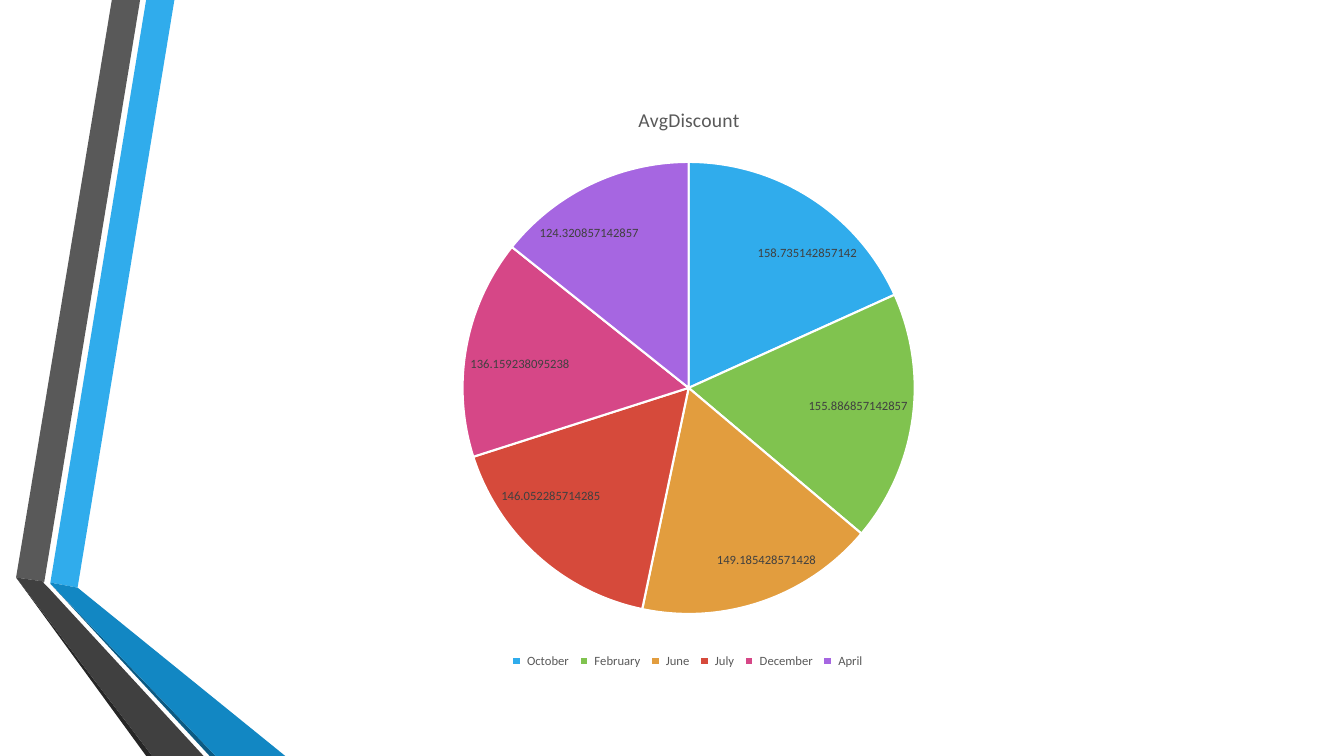
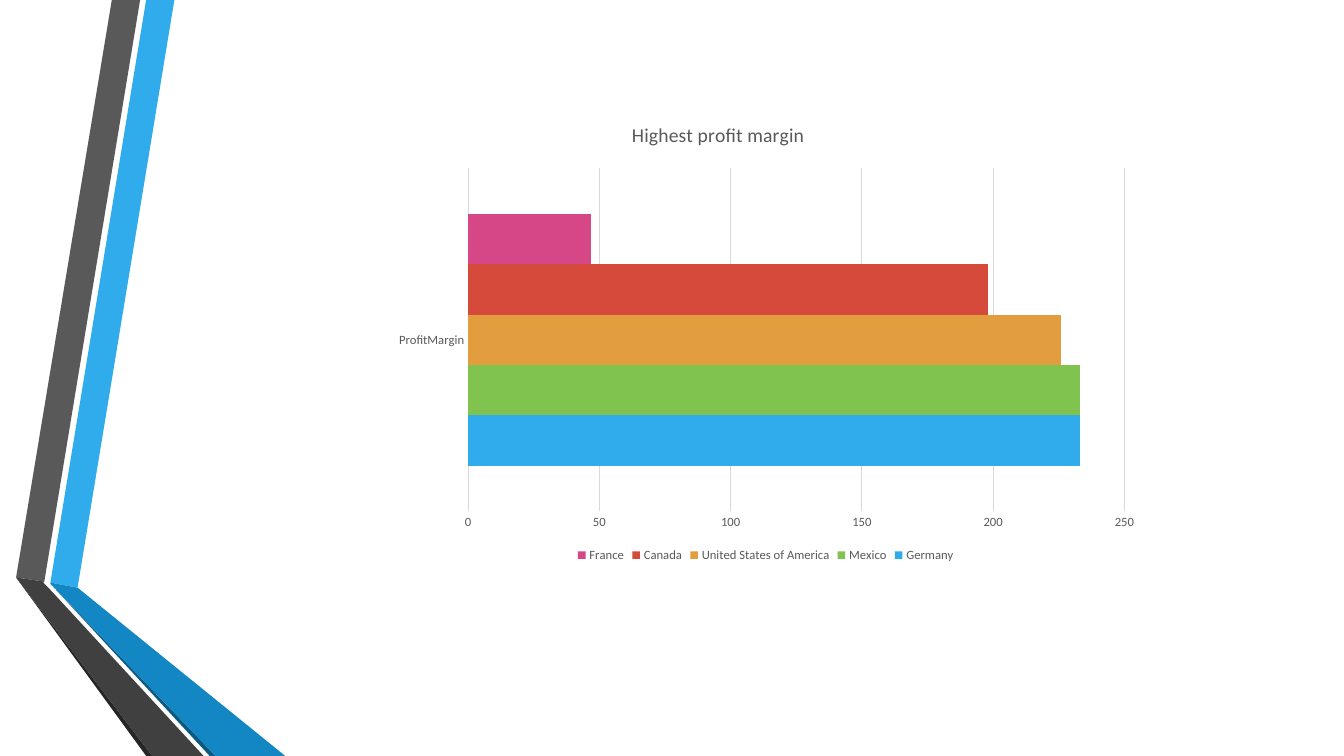
from lxml import etree
from pptx import Presentation
from pptx.chart.data import CategoryChartData
from pptx.dml.color import RGBColor
from pptx.enum.chart import XL_CHART_TYPE, XL_LABEL_POSITION, XL_LEGEND_POSITION, XL_TICK_MARK
from pptx.oxml.ns import qn
from pptx.util import Inches, Pt

PIE = XL_CHART_TYPE.PIE
BAR = XL_CHART_TYPE.BAR_CLUSTERED
BEST = XL_LABEL_POSITION.BEST_FIT
BOTTOM = XL_LEGEND_POSITION.BOTTOM
NO_TICK = XL_TICK_MARK.NONE

WIDTH, HEIGHT = Inches(13.33), Inches(7.5)
FACE = "Calibri"

WHITE = RGBColor(0xFF, 0xFF, 0xFF)
BLACK = RGBColor(0x00, 0x00, 0x00)
BLUE = RGBColor(0x30, 0xAC, 0xEC)
MID_BLUE = RGBColor(0x12, 0x87, 0xC3)
DEEP_BLUE = RGBColor(0x0C, 0x5A, 0x82)
GREEN = RGBColor(0x80, 0xC3, 0x4F)
AMBER = RGBColor(0xE2, 0x9D, 0x3E)
RED = RGBColor(0xD6, 0x4A, 0x3B)
PINK = RGBColor(0xD6, 0x47, 0x87)
PURPLE = RGBColor(0xA6, 0x66, 0xE1)
GRAY = RGBColor(0x59, 0x59, 0x59)
DARK = RGBColor(0x40, 0x40, 0x40)
COAL = RGBColor(0x26, 0x26, 0x26)
PALE = RGBColor(0xD9, 0xD9, 0xD9)
HUES = (BLUE, GREEN, AMBER, RED, PINK, PURPLE)

UNIT = Inches(0.01)
BANDS = (
    (BLUE, ((50, 578), (77, 583), (173, 0), (145, 0))),
    (GRAY, ((139, 0), (111, 0), (16, 573), (44, 577))),
    (COAL, ((16, 573), (145, 750), (151, 750))),
    (DEEP_BLUE, ((50, 579), (208, 750), (214, 750))),
    (MID_BLUE, ((50, 579), (214, 750), (283, 750), (77, 583), (50, 578))),
    (DARK, ((202, 750), (48, 583), (43, 578), (44, 577), (16, 573), (151, 750))),
)

MONTHS = {
    " October ": 158.735142857142,
    " February ": 155.886857142857,
    " June ": 149.185428571428,
    " July ": 146.052285714285,
    " December ": 136.159238095238,
    " April ": 124.320857142857,
}
LANDS = {
    "Germany": 233,
    "Mexico": 233,
    "United States of America": 226,
    "Canada": 198,
    "France": 47,
}


def paint(fill, color):
    fill.solid()
    fill.fore_color.rgb = color


def style(font, size, color):
    font.name = FACE
    font.size = Pt(size)
    font.color.rgb = color


def rule(line, color, width):
    line.color.rgb = color
    line.width = Pt(width)


def pin(node, **parts):
    box = node.find(qn("c:layout"))
    if box is None:
        box = etree.Element(qn("c:layout"))
        node.insert(len(node.findall(qn("c:tx"))), box)
    man = etree.SubElement(box, qn("c:manualLayout"))
    for key, val in parts.items():
        etree.SubElement(man, qn("c:" + key)).set("val", str(val))


def add_bands(slide):
    group = slide.shapes.add_group_shape()
    for color, points in BANDS:
        pen = group.shapes.build_freeform(*points[0], scale=UNIT)
        pen.add_line_segments(points[1:], close=True)
        band = pen.convert_to_shape()
        paint(band.fill, color)
        band.line.fill.background()
        band.shadow.inherit = False


def add_slide(deck):
    slide = deck.slides.add_slide(deck.slide_layouts[6])
    paint(slide.background.fill, WHITE)
    add_bands(slide)
    return slide


def add_chart(slide, kind, place, title, data):
    left, top, width, height = place
    frame = slide.shapes.add_chart(
        kind, int(WIDTH * left / 100), int(HEIGHT * top / 100),
        int(WIDTH * width / 100), int(HEIGHT * height / 100), data)
    chart = frame.chart
    style(chart.font, 10, BLACK)
    chart.has_title = True
    text = chart.chart_title.text_frame
    text.text = title
    font = text.paragraphs[0].runs[0].font
    style(font, 14, GRAY)
    font.bold = False
    chart.has_legend = True
    chart.legend.position = BOTTOM
    chart.legend.include_in_layout = False
    style(chart.legend.font, 9, GRAY)
    return chart


def add_pie(slide):
    data = CategoryChartData()
    data.categories = list(MONTHS)
    data.add_series("AvgDiscount", list(MONTHS.values()))
    chart = add_chart(slide, PIE, (18, 11.33, 66.54, 77.6), "AvgDiscount", data)
    plot = chart.plots[0]
    plot.vary_by_categories = True
    for spot, hue in enumerate(HUES):
        form = plot.series[0].points[spot].format
        paint(form.fill, hue)
        rule(form.line, WHITE, 1.5)
    plot.has_data_labels = True
    labels = plot.data_labels
    labels.show_value = True
    labels.number_format = "0.000000000000"
    labels.number_format_is_linked = False
    labels.position = BEST
    style(labels.font, 9, DARK)


def add_bars(slide):
    data = CategoryChartData()
    data.categories = ["ProfitMargin"]
    for name, value in LANDS.items():
        data.add_series(name, [value])
    chart = add_chart(slide, BAR, (28.58, 14.4, 56.79, 60.53),
                      "Highest profit margin", data)
    pin(chart.chart_title._element, xMode="edge", yMode="edge", x=0.32, y=0.02)
    pin(chart._chartSpace.chart.plotArea, layoutTarget="inner", xMode="edge",
        yMode="edge", x=0.11, y=0.13, w=0.86, h=0.75)
    plot = chart.plots[0]
    plot.vary_by_categories = False
    plot.gap_width = 182
    plot.overlap = 0
    for series, hue in zip(plot.series, HUES):
        paint(series.format.fill, hue)
    for axis in (chart.category_axis, chart.value_axis):
        axis.major_tick_mark = axis.minor_tick_mark = NO_TICK
        style(axis.tick_labels.font, 9, GRAY)
    rule(chart.category_axis.format.line, PALE, 0.75)
    scale = chart.value_axis
    scale.minimum_scale, scale.maximum_scale, scale.major_unit = 0, 250, 50
    scale.format.line.fill.background()
    scale.has_major_gridlines = True
    rule(scale.major_gridlines.format.line, PALE, 0.75)


def main():
    deck = Presentation()
    deck.slide_width, deck.slide_height = WIDTH, HEIGHT
    add_pie(add_slide(deck))
    add_bars(add_slide(deck))
    deck.save("out.pptx")


if __name__ == "__main__":
    main()
